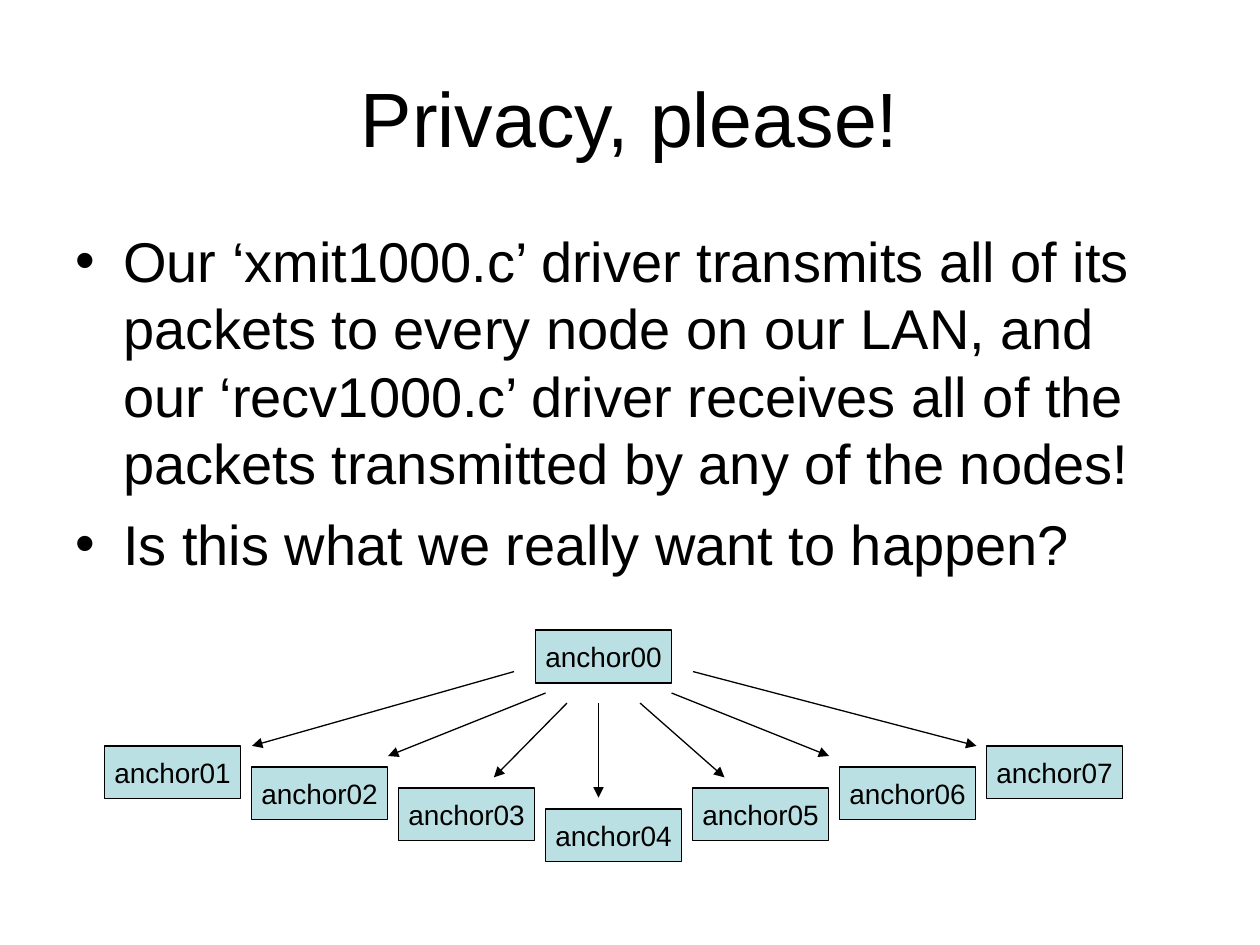
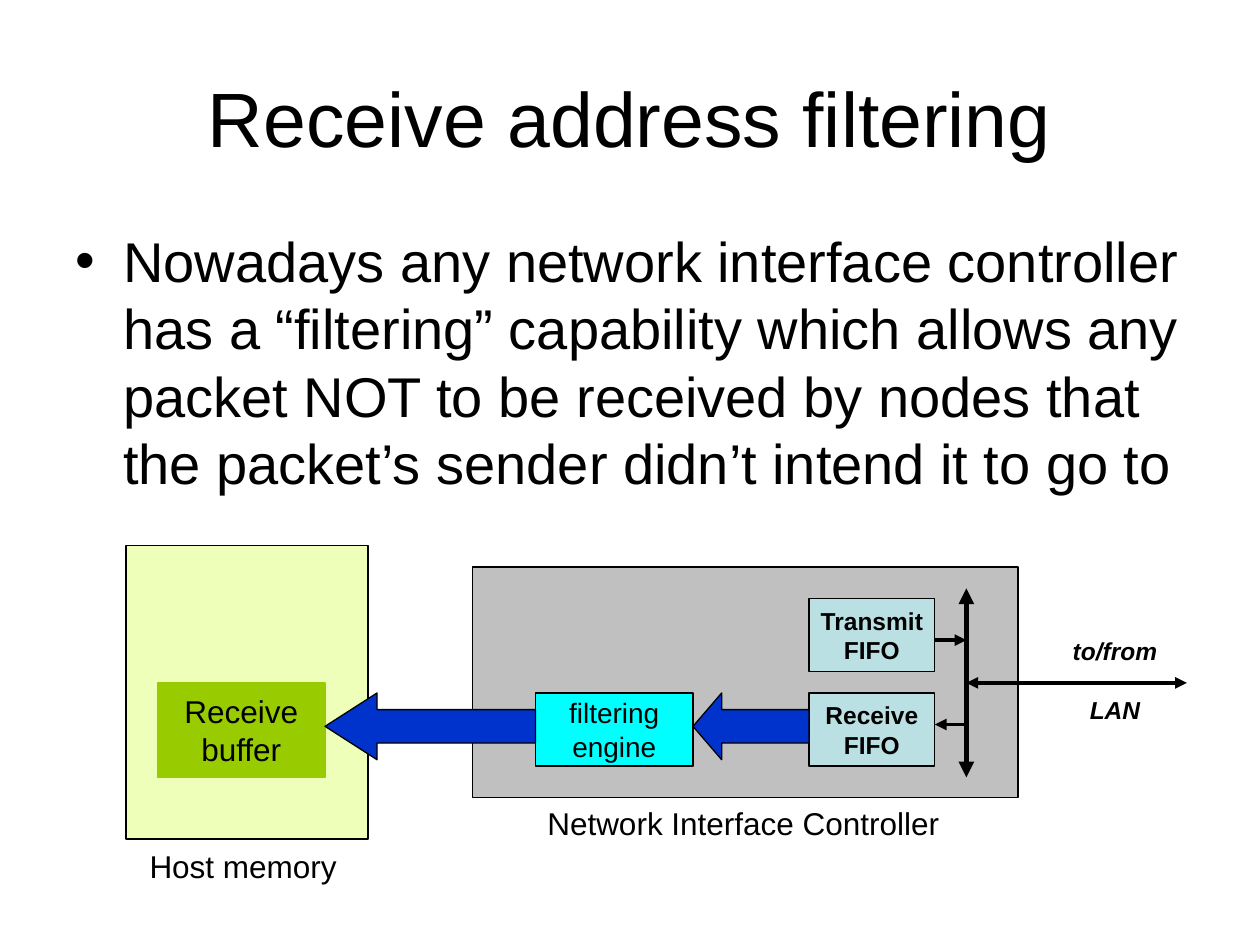
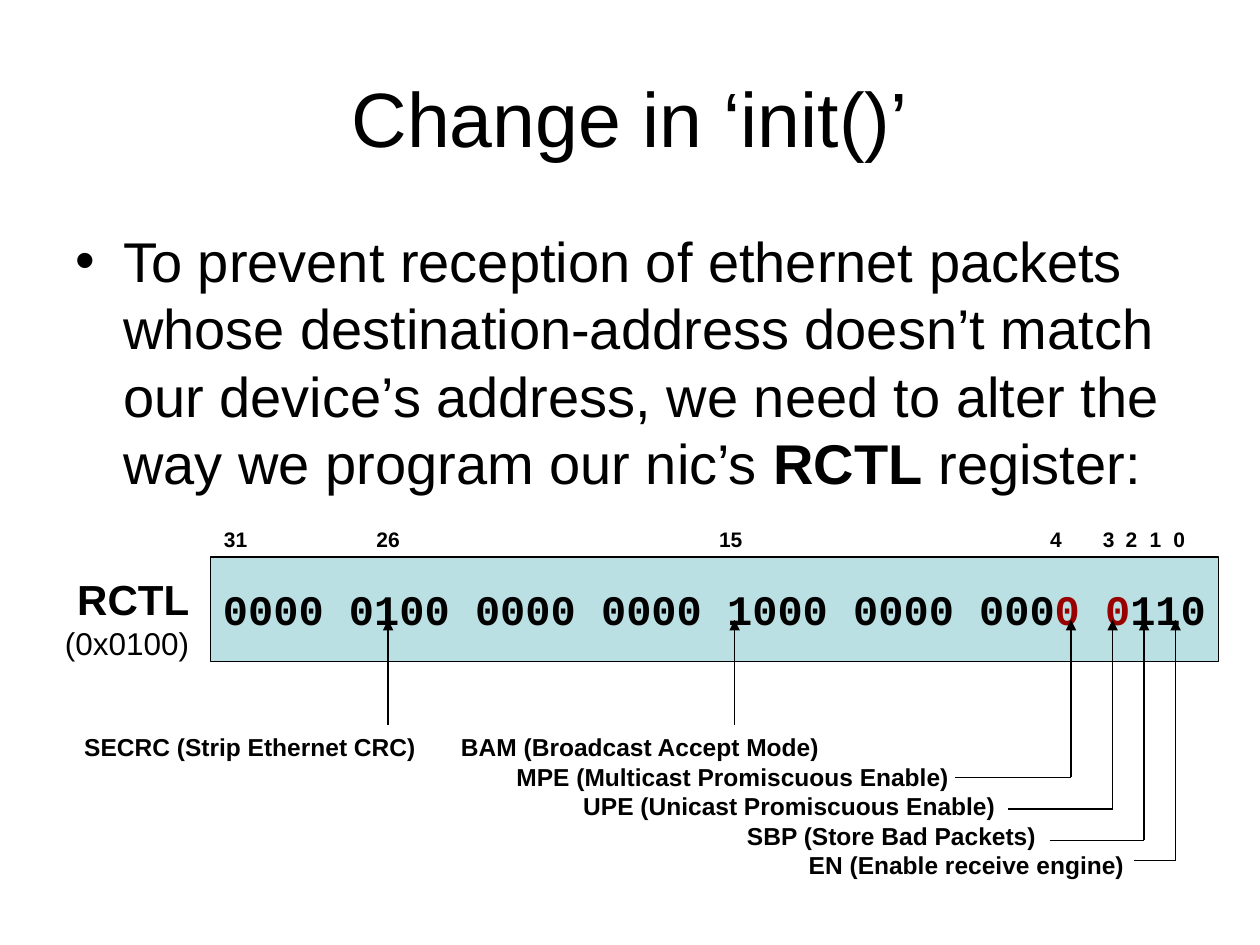
import pptx
import pptx.util
import pptx.dml.color
import pptx.enum.shapes
import pptx.enum.text
import pptx.oxml.ns
import lxml.etree

Inches = pptx.util.Inches
Pt = pptx.util.Pt
RGB = pptx.dml.color.RGBColor
Align = pptx.enum.text.PP_ALIGN
Anchor = pptx.enum.text.MSO_ANCHOR
Shape = pptx.enum.shapes.MSO_SHAPE
qn = pptx.oxml.ns.qn

BLACK = RGB(0x00, 0x00, 0x00)
PALE = RGB(0xBB, 0xE0, 0xE3)
CREAM = RGB(0xED, 0xFF, 0xB9)
GREEN = RGB(0x99, 0xCC, 0x00)
GRAY = RGB(0xC0, 0xC0, 0xC0)
CYAN = RGB(0x00, 0xFF, 0xFF)
BLUE = RGB(0x00, 0x33, 0xCC)
RED = RGB(0x99, 0x00, 0x00)


def put(slide, box, text="", size=16, fill=None, edge=BLACK, kind=Shape.RECTANGLE,
        align=Align.CENTER, anchor=Anchor.MIDDLE, bold=False, font="Arial"):
    """Add a filled shape, or a text box if fill is None; "|" parts runs."""
    area = [Inches(v) for v in box]
    if fill is None:
        shape = slide.shapes.add_textbox(*area)
    else:
        shape = slide.shapes.add_shape(kind, *area)
        shape.shadow.inherit = False
        shape.fill.solid()
        shape.fill.fore_color.rgb = fill
        shape.line.color.rgb = edge
        shape.line.width = Pt(0.75)
    frame = shape.text_frame
    frame.word_wrap = align != Align.CENTER
    frame.vertical_anchor = anchor
    frame.text = text.replace("|", "")
    for para, line in zip(frame.paragraphs, text.split("\n")):
        para.alignment = align
        if "|" in line:
            para.clear()
            for part in line.split("|"):
                para.add_run().text = part
        for run in para.runs:
            run.font.name = font
            run.font.size = Pt(size)
            run.font.bold = bold
            run.font.color.rgb = BLACK
    return shape


def link(slide, start, end, width=0.75, heads=("tailEnd",)):
    """Draw a straight line with the arrowheads named in heads."""
    line = slide.shapes.add_connector(
        pptx.enum.shapes.MSO_CONNECTOR.STRAIGHT, *[Inches(v) for v in start + end])
    line.line.color.rgb = BLACK
    line.line.width = Pt(width)
    for head in heads:
        lxml.etree.SubElement(line.get_or_add_ln(), qn("a:" + head), type="triangle")
    lxml.etree.SubElement(line._element.spPr, qn("a:effectLst"))


deck = pptx.Presentation()
deck.slide_width = Inches(10)
deck.slide_height = Inches(7.5)

# Titles and bullets of all slides
pages = [
    ("Privacy, please!",
     "Our ‘xmit1000.c’ driver transmits all of its packets to every node on our LAN, "
     "and our ‘recv1000.c’ driver receives all of the packets transmitted by any of "
     "the nodes!\nIs this what we really want to happen?"),
    ("Receive address filtering",
     "Nowadays any network interface controller has a “filtering” capability which "
     "allows any packet NOT to be received by nodes that the packet’s sender didn’t "
     "intend it to go to"),
    ("Change in ‘init()’",
     "To prevent reception of ethernet packets whose destination-address doesn’t "
     "match our device’s address, we need to alter the way we program our nic’s "
     "|RCTL| register:"),
]
slides = []
for title, points in pages:
    slide = deck.slides.add_slide(deck.slide_layouts[6])
    slides.append(slide)
    put(slide, (0.5, 0.3, 9, 1.25), title, 44)
    body = put(slide, (0.5, 1.75, 9, 4.95), points, 32, align=Align.LEFT, anchor=Anchor.TOP)
    for para in body.text_frame.paragraphs:
        para.space_before = Pt(8)
        props = para._p.get_or_add_pPr()
        props.set("marL", str(Inches(0.38)))
        props.set("indent", str(Inches(-0.38)))
        lxml.etree.SubElement(props, qn("a:buFont"), typeface="Arial")
        lxml.etree.SubElement(props, qn("a:buChar"), char="•")
        for run in para.runs:
            run.font.bold = run.text == "RCTL"
lan, nic, reg = slides

# Slide 1: one node sends to seven
for i in range(7):
    left = 0.83 + i * 7 / 6
    top = 6.42 - abs(i - 3) / 6
    put(lan, (left, top, 1.08, 0.42), f"anchor0{i + 1}", fill=PALE)
put(lan, (4.25, 5, 1.08, 0.42), "anchor00", fill=PALE)
for start, end in [
    ((4.08, 5.33), (2, 5.92)),
    ((4.33, 5.5), (3.08, 6)),
    ((4.5, 5.58), (3.92, 6.17)),
    ((4.75, 5.58), (4.75, 6.33)),
    ((5.08, 5.58), (5.75, 6.17)),
    ((5.33, 5.5), (6.58, 6)),
    ((5.5, 5.33), (7.75, 5.92)),
]:
    link(lan, start, end)

# Slide 2: host memory and controller
put(nic, (1, 4.33, 1.92, 2.33), fill=CREAM)
put(nic, (1.25, 5.42, 1.33, 0.75), "Receive\nbuffer", 18, GREEN, GREEN)
put(nic, (0.93, 6.67, 2, 0.4), "Host memory", 18)
put(nic, (3.75, 4.5, 4.33, 1.83), fill=GRAY)
put(nic, (4.1, 6.33, 3.6, 0.4), "Network Interface Controller", 18)
for top, name in [(4.75, "Transmit"), (5.5, "Receive")]:
    put(nic, (6.42, top, 1, 0.58), name + "\nFIFO", 14, PALE, bold=True)
put(nic, (4.25, 5.5, 1.25, 0.58), "filtering\nengine", fill=CYAN)

both = ("headEnd", "tailEnd")
link(nic, (7.67, 4.67), (7.67, 6.17), 3, both)
link(nic, (7.42, 5.08), (7.67, 5.08), 2.25)
link(nic, (7.67, 5.75), (7.42, 5.75), 2.25)
link(nic, (7.67, 5.42), (9.42, 5.42), 2.25, both)
note = put(nic, (8.35, 5, 1, 0.8), "to/from\nLAN", 14, bold=True, anchor=Anchor.TOP)
for para in note.text_frame.paragraphs:
    para.runs[0].font.italic = True
note.text_frame.paragraphs[1].space_before = Pt(17)
for left, width, tip in [(5.5, 0.92, 0.43), (2.58, 1.67, 0.78)]:
    arrow = put(nic, (left, 5.5, width, 0.53), fill=BLUE, kind=Shape.LEFT_ARROW)
    arrow.adjustments[1] = tip

# Slide 3: register bits
bits = put(reg, (1.67, 4.42, 8, 0.83), "0000 0100 0000 0000 1000 0000 000|0 0|110",
           24, PALE, bold=True, font="Courier New")
bits.text_frame.paragraphs[0].runs[1].font.color.rgb = RED
name = put(reg, (0.3, 4.5, 1.3, 0.8), "RCTL\n(0x0100)", 24, align=Align.RIGHT,
           anchor=Anchor.TOP, bold=True)
code = name.text_frame.paragraphs[1].runs[0].font
code.size = Pt(18)
code.bold = False

for bit, mid in [(31, 1.87), (26, 3.08), (15, 5.8), (4, 8.38),
                 (3, 8.8), (2, 8.98), (1, 9.17), (0, 9.36)]:
    put(reg, (mid - 0.2, 4.08, 0.4, 0.4), str(bit), 12, bold=True)

for row, left, text in [
    (0, 0.57, "SECRC (Strip Ethernet CRC)"),
    (0, 3.56, "BAM (Broadcast Accept Mode)"),
    (1, 4, "MPE (Multicast Promiscuous Enable)"),
    (2, 4.53, "UPE (Unicast Promiscuous Enable)"),
    (3, 5.83, "SBP (Store Bad Packets)"),
    (4, 6.32, "EN (Enable receive engine)"),
]:
    put(reg, (left, 5.76 + 0.235 * row, 3.65, 0.33), text, 14, align=Align.LEFT,
        anchor=Anchor.TOP, bold=True)

for x in (3.08, 5.83):
    link(reg, (x, 5.75), (x, 4.92))
for x, y, left in [(8.5, 6.17, 7.58), (8.83, 6.42, 8), (9.08, 6.67, 8.33), (9.33, 6.83, 9)]:
    link(reg, (x, y), (x, 4.92))
    link(reg, (left, y), (x, y), heads=())

deck.save("out.pptx")
